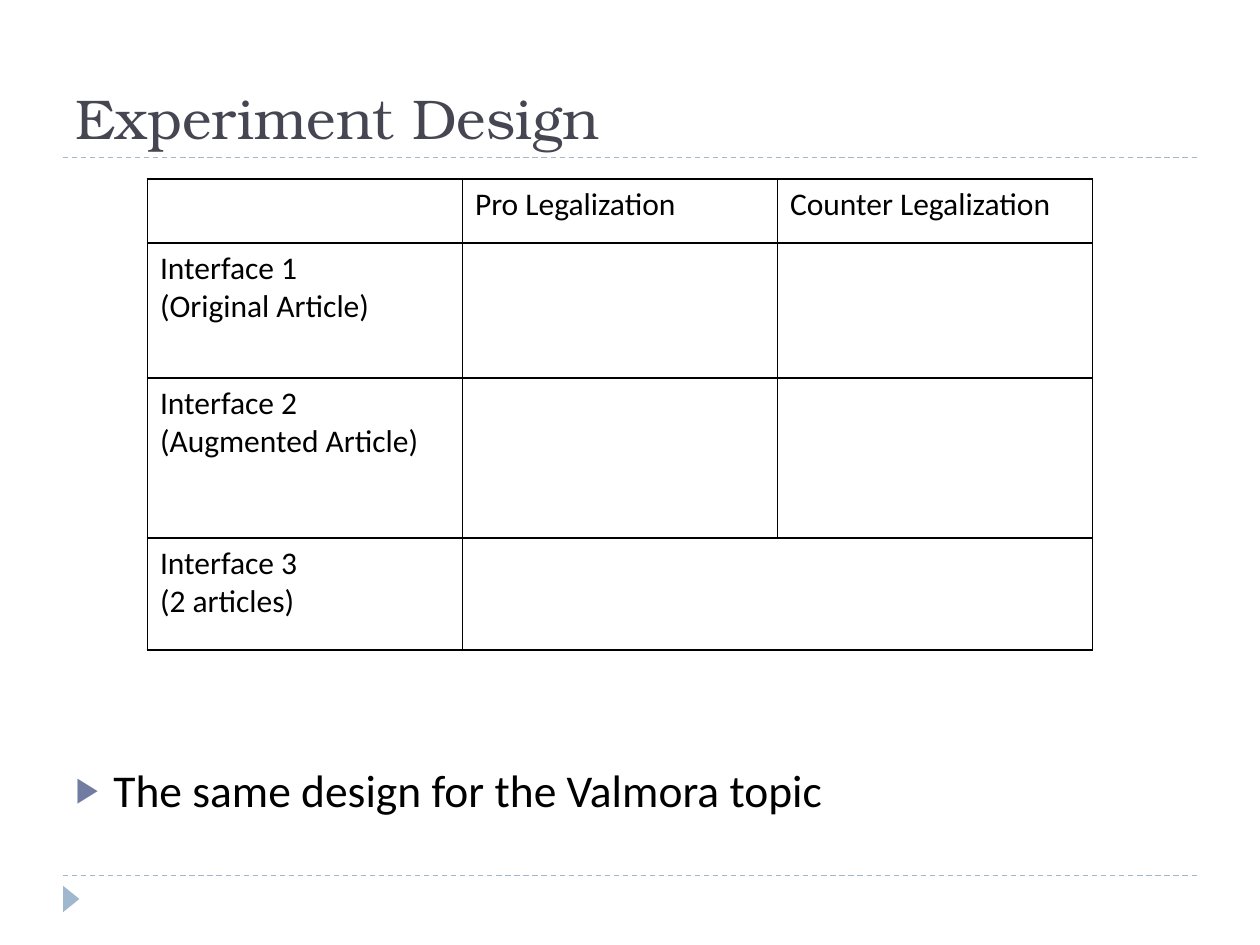
from lxml import etree
from pptx import Presentation
from pptx.dml.color import RGBColor
from pptx.enum.dml import MSO_LINE_DASH_STYLE as Dash
from pptx.enum.shapes import MSO_CONNECTOR, MSO_SHAPE
from pptx.enum.text import MSO_ANCHOR, MSO_AUTO_SIZE, PP_ALIGN
from pptx.oxml.ns import qn
from pptx.util import Inches, Pt

# Content
TITLE = "Experiment Design"
BULLET = "The same design for the Valmora topic"
DESIGN = [
    ["", "Pro Legalization", "Counter Legalization"],
    ["Interface 1\n(Original Article)", "", ""],
    ["Interface 2\n(Augmented Article)", "", ""],
    ["Interface 3\n(2 articles)", "", ""],
]
ROW_HEIGHTS = [0.51, 1.07, 1.27, 0.89]
COLUMN_WIDTH = 2.5
RULE_HEIGHTS = [1.25, 6.95]

# Format
COLORS = {"title": "464653", "text": "000000", "bullet": "727CA3",
          "accent": "9FB8CD", "border": "000000"}
FONTS = {
    "title": {"name": "TeX Gyre Bonum", "size": Pt(32), "bold": False},
    "body": {"name": "Calibri", "size": Pt(26), "bold": False},
    "cell": {"name": "Calibri", "size": Pt(18), "bold": False},
}


def rgb(role):
    return RGBColor.from_string(COLORS[role])


def style(paragraph, font, color):
    for key, value in FONTS[font].items():
        setattr(paragraph.font, key, value)
    paragraph.font.color.rgb = rgb(color)


def place(shape, left, top, width, height):
    box = {"left": left, "top": top, "width": width, "height": height}
    for key, value in box.items():
        setattr(shape, key, Inches(value))


def add_color(parent, role):
    etree.SubElement(parent, qn("a:srgbClr"), val=COLORS[role])


def add_borders(cell):
    properties = cell._tc.get_or_add_tcPr()
    for position, side in enumerate(("a:lnL", "a:lnR", "a:lnT", "a:lnB")):
        border = etree.Element(qn(side), w=str(Pt(1)))
        add_color(etree.SubElement(border, qn("a:solidFill")), "border")
        properties.insert(position, border)


def add_bullet(paragraph):
    properties = paragraph._p.get_or_add_pPr()
    properties.set("marL", str(Inches(0.3)))
    properties.set("indent", str(-Inches(0.3)))
    add_color(etree.SubElement(properties, qn("a:buClr")), "bullet")
    etree.SubElement(properties, qn("a:buSzPct"), val="76000")
    etree.SubElement(properties, qn("a:buChar"), char="▶")


deck = Presentation()
deck.slide_width, deck.slide_height = Inches(10), Inches(7.5)
slide = deck.slides.add_slide(deck.slide_layouts[1])
shapes = slide.shapes

# Dashed rules and corner marker
for y in RULE_HEIGHTS:
    rule = shapes.add_connector(MSO_CONNECTOR.STRAIGHT, Inches(0.5), Inches(y),
                                Inches(9.5), Inches(y))
    rule.line.color.rgb = rgb("accent")
    rule.line.width = Pt(0.75)
    rule.line.dash_style = Dash.DASH
    etree.SubElement(rule._element.spPr, qn("a:effectLst"))

marker = shapes.add_shape(MSO_SHAPE.ISOSCELES_TRIANGLE, Inches(0.46),
                          Inches(7.07), Inches(0.21), Inches(0.13))
marker.rotation = 90
marker.shadow.inherit = False
marker.fill.solid()
marker.fill.fore_color.rgb = rgb("accent")
marker.line.fill.background()

# Title
title = shapes.title
place(title, 0.5, 0.17, 9, 1.08)
title.text_frame.text = TITLE
title.text_frame.auto_size = MSO_AUTO_SIZE.NONE
title.text_frame.vertical_anchor = MSO_ANCHOR.BOTTOM
heading = title.text_frame.paragraphs[0]
heading.alignment = PP_ALIGN.LEFT
style(heading, "title", "title")

# Closing bullet
body = slide.placeholders[1]
place(body, 0.5, 6, 9, 0.73)
body.text_frame.text = BULLET
body.text_frame.auto_size = MSO_AUTO_SIZE.NONE
closing = body.text_frame.paragraphs[0]
add_bullet(closing)
closing.space_before = Pt(0)
style(closing, "body", "text")

# Design table
columns = len(DESIGN[0])
design = shapes.add_table(len(DESIGN), columns, Inches(1.17), Inches(1.42),
                          Inches(COLUMN_WIDTH * columns),
                          Inches(sum(ROW_HEIGHTS))).table
design.first_row = design.horz_banding = False
for column in design.columns:
    column.width = Inches(COLUMN_WIDTH)
for r, (height, labels) in enumerate(zip(ROW_HEIGHTS, DESIGN)):
    design.rows[r].height = Inches(height)
    for c, label in enumerate(labels):
        cell = design.cell(r, c)
        cell.text = label
        cell.fill.background()
        add_borders(cell)
        for paragraph in cell.text_frame.paragraphs:
            style(paragraph, "cell", "text")
design.cell(3, 1).merge(design.cell(3, 2))

deck.save("out.pptx")
